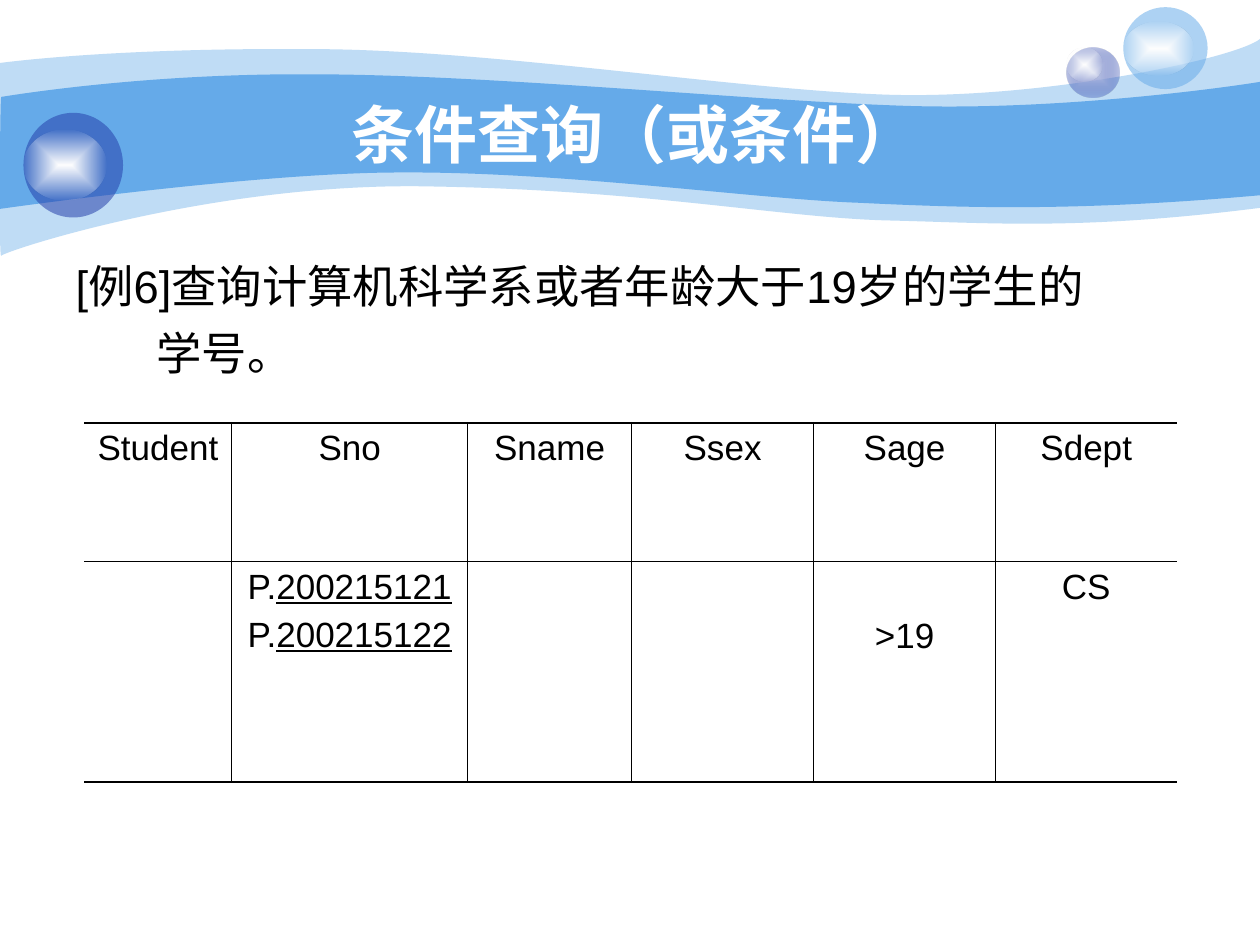
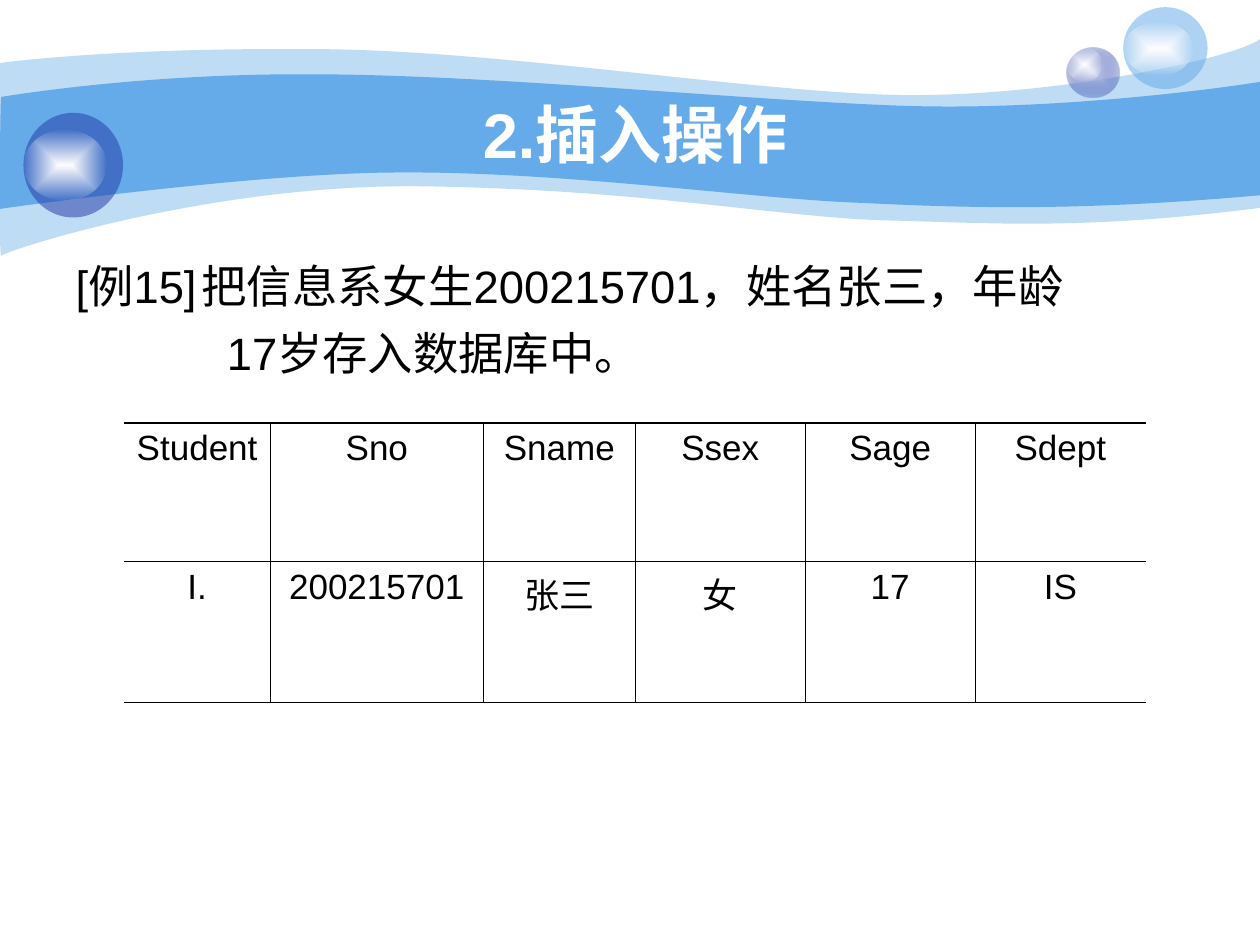
from lxml import etree
from pptx import Presentation
from pptx.dml.color import RGBColor
from pptx.enum import shapes, text
from pptx.oxml.ns import qn
from pptx.util import Pt

# Shared look
FONT = "Arial"
BLACK = RGBColor(0x00, 0x00, 0x00)
WHITE = RGBColor(0xFF, 0xFF, 0xFF)
SKY = RGBColor(0x65, 0xAA, 0xE9)
NAVY = RGBColor(0x23, 0x3D, 0xA9)
LILAC = RGBColor(0xC7, 0xCE, 0xE9)
THICK, THIN = 1.08, 0.45
TITLE_BOX = (72, 54, 582, 44.6)
TABLE_TOP, HEADER_HEIGHT, LINE_PITCH = 241.6, 79.2, 28

# Content; a tuple in a cell is (plain text, underlined text)
COLUMNS = ["Student", "Sno", "Sname", "Ssex", "Sage", "Sdept"]
SLIDES = [
    {
        "title": "条件查询（或条件）",
        "body_box": (36, 144, 647.3, 97.9),
        "lines": [("[例6]查询计算机科学系或者年龄大于19岁的学生的", 0),
                  ("学号。", 46.3)],
        "tab": None,
        "table_left": 48.2,
        "widths": [84.3, 134.8, 93.7, 104, 104, 103.7],
        "row_height": 126,
        "row": {"Sno": [("P.", "200215121"), ("P.", "200215122")],
                "Sage": [(">19", "")],
                "Sdept": [("CS", "")]},
        "lines_down": {"Sage": 1},
    },
    {
        "title": "2.插入操作",
        "body_box": (36, 144, 658.8, 86.4),
        "lines": [("[例15]\t把信息系女生200215701，姓名张三，年龄", 0),
                  ("17岁存入数据库中。", 86.4)],
        "tab": 96.1,
        "table_left": 70.8,
        "widths": [83.7, 121.7, 86.9, 97.1, 97.1, 97.4],
        "row_height": 80.6,
        "row": {"Student": [("I.", "")], "Sno": [("200215701", "")],
                "Sname": [("张三", "")], "Ssex": [("女", "")],
                "Sage": [("17", "")], "Sdept": [("IS", "")]},
        "lines_down": {},
    },
]

# Wave bands: start point, then segments of one point (line) or three (curve)
BANDS = [
    (0.41, (0, 36), [
        [(17.3, 33.8), (77, 27.4), (177.8, 28.1)],
        [(277.9, 28.1), (414, 50.4), (503.3, 54)],
        [(591.8, 57.6), (705.6, 33.8), (720, 22.3)],
        [(720, 118.8)],
        [(617.8, 131.8), (566.6, 127.4), (507.6, 126)],
        [(447.8, 124.6), (370.8, 108.7), (247, 106.6)],
        [(123.8, 103.7), (2.9, 143.3), (0.7, 146.2)],
        [(-0.7, 149.8), (0, 54), (0, 36)]]),
    (1, (0.7, 55.4), [
        [(1.4, 55.4), (79.2, 41.8), (178.6, 42.5)],
        [(277.9, 42.5), (428.4, 57.6), (517, 60.5)],
        [(605.5, 63.4), (702.7, 49.7), (720, 46.8)],
        [(720, 111.6)],
        [(614.2, 121), (550.8, 118.8), (491, 115.9)],
        [(431.3, 113.8), (321.8, 97.9), (228.2, 98.6)],
        [(146.2, 98.6), (-1.4, 119.5), (-0.7, 119.5)],
        [(0, 119.5), (0, 55.4), (0.7, 55.4)]]),
]

# Bubbles: box, then (colour, opacity) once for solid, twice for centre and rim
SHINE = [(WHITE, 1), (WHITE, 0)]
BUBBLES = [
    ((609.6, 27.2, 30.2, 28.8), [(LILAC, 1), (NAVY, 0.31)]),
    ((609.6, 27.2, 20.2, 19.4), SHINE),
    ((641.9, 4.1, 48.2, 46.8), [(SKY, 0.53)]),
    ((641.9, 12.2, 40.3, 31), SHINE),
    ((13.4, 64.5, 56.9, 59.8), [(NAVY, 0.53)]),
    ((13.4, 74.2, 47.5, 40.3), SHINE),
]


def points(values):
    return [Pt(value) for value in values]


def place(shape, box):
    shape.left, shape.top, shape.width, shape.height = points(box)


def paint(shape, colours):
    shape.shadow.inherit = False
    shape.line.fill.background()
    if len(colours) == 1:
        shape.fill.solid()
        shape.fill.fore_color.rgb = colours[0][0]
    else:
        shape.fill.gradient()
        for stop, (colour, _) in zip(shape.fill.gradient_stops, colours):
            stop.color.rgb = colour
        linear = next(shape.element.iter(qn("a:lin")))
        gradient = linear.getparent()
        gradient.remove(linear)
        centred = etree.SubElement(gradient, qn("a:path"), path="rect")
        etree.SubElement(centred, qn("a:fillToRect"),
                         {side: "50000" for side in "ltrb"})
    for node, (_, opacity) in zip(shape.element.iter(qn("a:srgbClr")), colours):
        if opacity < 1:
            etree.SubElement(node, qn("a:alpha"), val=str(round(opacity * 100000)))


def add_band(page, start, segments):
    """Build the outline point by point, then join each three points as a curve."""
    builder = page.shapes.build_freeform(*points(start))
    builder.add_line_segments([points(p) for segment in segments for p in segment])
    band = builder.convert_to_shape()
    steps = iter(list(band.element.iter(qn("a:lnTo"))))
    for segment in segments:
        first, *others = [next(steps) for _ in segment]
        if others:
            first.tag = qn("a:cubicBezTo")
        for step in others:
            first.append(step[0])
            step.getparent().remove(step)
    etree.SubElement(next(band.element.iter(qn("a:moveTo"))).getparent(), qn("a:close"))
    return band


def decorate(layout, page):
    """Draw bands and bubbles, then move them to the back of the shared layout."""
    for holder in list(layout.placeholders):
        if holder.placeholder_format.idx >= 10:
            holder.element.getparent().remove(holder.element)
    parts = []
    for opacity, start, segments in BANDS:
        band = add_band(page, start, segments)
        paint(band, [(SKY, opacity)])
        parts.append(band)
    for box, colours in BUBBLES:
        bubble = page.shapes.add_shape(shapes.MSO_SHAPE.OVAL, *points(box))
        paint(bubble, colours)
        parts.append(bubble)
    for position, part in enumerate(parts, start=2):
        layout.shapes.element.insert(position, part.element)


def style(para, size, colour, align, bold=False):
    para.alignment = align
    para.font.name, para.font.size, para.font.bold = FONT, Pt(size), bold
    para.font.color.rgb = colour


def add_title(page, title):
    box = page.shapes.title
    place(box, TITLE_BOX)
    frame = box.text_frame
    frame.text = title
    frame.auto_size = text.MSO_AUTO_SIZE.NONE
    frame.vertical_anchor = text.MSO_ANCHOR.MIDDLE
    style(frame.paragraphs[0], 36, WHITE, text.PP_ALIGN.CENTER, bold=True)


def add_body(page, content):
    box = page.placeholders[1]
    place(box, content["body_box"])
    frame = box.text_frame
    frame.auto_size = text.MSO_AUTO_SIZE.NONE
    for number, (line, indent) in enumerate(content["lines"]):
        para = frame.paragraphs[0] if number == 0 else frame.add_paragraph()
        para.text = line
        para.space_before = Pt(7 if number else 0)
        props = para._p.get_or_add_pPr()
        props.set("marL", str(Pt(indent)))
        props.set("indent", "0")
        etree.SubElement(props, qn("a:buNone"))
        if "\t" in line:
            stops = etree.SubElement(props, qn("a:tabLst"))
            etree.SubElement(stops, qn("a:tab"), pos=str(Pt(content["tab"])), algn="l")
        style(para, 25.9, BLACK, text.PP_ALIGN.JUSTIFY)


def set_borders(cell, widths):
    """Widths go left, right, top, bottom; 0 means no line."""
    props = cell._tc.get_or_add_tcPr()
    for position, (side, width) in enumerate(zip("LRTB", widths)):
        line = etree.Element(qn("a:ln" + side), w=str(Pt(width)))
        if width:
            fill = etree.SubElement(line, qn("a:solidFill"))
            etree.SubElement(fill, qn("a:srgbClr"), val=str(BLACK))
        else:
            etree.SubElement(line, qn("a:noFill"))
        props.insert(position, line)


def fill_cell(cell, lines):
    frame = cell.text_frame
    for number, (plain, underlined) in enumerate(lines):
        para = frame.paragraphs[0] if number == 0 else frame.add_paragraph()
        para.space_before = Pt(5 if number else 0)
        style(para, 20, BLACK, text.PP_ALIGN.CENTER)
        para.add_run().text = plain
        if underlined:
            span = para.add_run()
            span.text = underlined
            span.font.underline = True


def add_grid(page, content):
    heights = [HEADER_HEIGHT, content["row_height"]]
    widths = content["widths"]
    table = page.shapes.add_table(2, len(COLUMNS), *points(
        (content["table_left"], TABLE_TOP, sum(widths), sum(heights)))).table
    table.first_row = table.horz_banding = False
    for row, height in zip(table.rows, heights):
        row.height = Pt(height)
    last = len(COLUMNS) - 1
    for c, name in enumerate(COLUMNS):
        table.columns[c].width = Pt(widths[c])
        for r, lines in enumerate([[(name, "")], content["row"].get(name, [])]):
            cell = table.cell(r, c)
            cell.fill.background()
            set_borders(cell, (THIN if c else 0, THIN if c < last else 0,
                               THIN if r else THICK, THICK if r else THIN))
            fill_cell(cell, lines)
        down = content["lines_down"].get(name, 0)
        table.cell(1, c).margin_top = Pt(3.6 + down * LINE_PITCH)


def main():
    deck = Presentation()
    deck.slide_width, deck.slide_height = Pt(720), Pt(540)
    layout = deck.slide_layouts[1]
    for number, content in enumerate(SLIDES):
        page = deck.slides.add_slide(layout)
        if number == 0:
            decorate(layout, page)
        add_title(page, content["title"])
        add_body(page, content)
        add_grid(page, content)
    deck.save("out.pptx")


if __name__ == "__main__":
    main()
